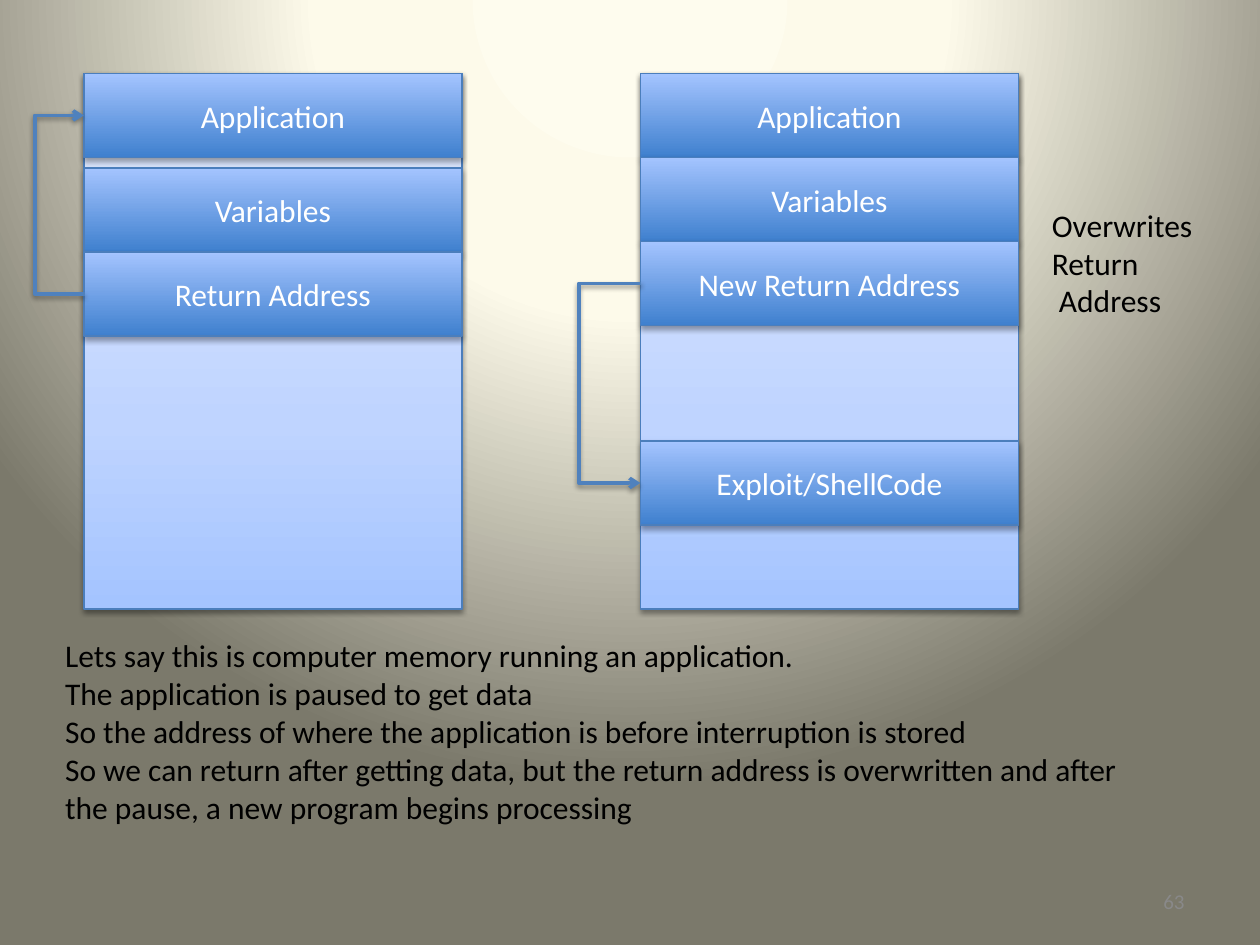
from dataclasses import dataclass

from pptx import Presentation
from pptx.dml.color import RGBColor
from pptx.enum import shapes, text
from pptx.oxml import parse_xml
from pptx.oxml.ns import nsdecls
from pptx.util import Pt


@dataclass(frozen=True)
class Theme:
    font: str = "Calibri"
    text_size: int = 18
    number_size: int = 12
    dark: str = "000000"
    light: str = "FFFFFF"
    muted: str = "898989"
    border: str = "4B7EBC"
    arrow: str = "4F81BD"
    memory: tuple = ((0, "A4C4FF"), (35, "BFD4FF"), (100, "E6EEFF"))
    block: tuple = ((0, "3F80CE"), (100, "A4C4FF"))
    background: tuple = ((0, "FEFCEE"), (40, "FDFAEA"), (100, "7B796B"))


THEME = Theme()
UPWARD = '<a:lin ang="16200000" scaled="0"/>'
CIRCLE = ('<a:path path="circle">'
          '<a:fillToRect l="50000" t="-80000" r="50000" b="180000"/></a:path>')
STACK_TOP = 42
STACK_WIDTH = 216
STACK_HEIGHT = 306
BLOCK_HEIGHT = 48
ARROW_SPAN = 0.5


def color(value):
    return RGBColor.from_string(value)


def set_gradient(owner, fill, stops, direction):
    fill.gradient()
    old = owner.element.xpath(".//a:gradFill")[0]
    marks = "".join(
        f'<a:gs pos="{position * 1000}"><a:srgbClr val="{value}"/></a:gs>'
        for position, value in stops)
    old.getparent().replace(old, parse_xml(
        f'<a:gradFill {nsdecls("a")} rotWithShape="1">'
        f'<a:gsLst>{marks}</a:gsLst>{direction}</a:gradFill>'))


def set_shadow(shape, opacity, distance):
    properties = shape.element.spPr
    for old in properties.xpath("./a:effectLst"):
        properties.remove(old)
    properties.append(parse_xml(
        f'<a:effectLst {nsdecls("a")}>'
        f'<a:outerShdw blurRad="{Pt(3.1)}" dist="{Pt(distance)}" dir="5400000" rotWithShape="0">'
        f'<a:srgbClr val="{THEME.dark}"><a:alpha val="{opacity * 1000}"/></a:srgbClr>'
        '</a:outerShdw></a:effectLst>'))


def format_text(frame, value, size=THEME.text_size, align=text.PP_ALIGN.LEFT):
    for paragraph in frame.paragraphs:
        paragraph.alignment = align
        for run in paragraph.runs:
            run.font.name = THEME.font
            run.font.size = Pt(size)
            run.font.color.rgb = color(value)


def add_box(slide, left, top, height, stops):
    shape = slide.shapes.add_shape(
        shapes.MSO_SHAPE.RECTANGLE, Pt(left), Pt(top), Pt(STACK_WIDTH), Pt(height))
    set_gradient(shape, shape.fill, stops, UPWARD)
    shape.line.color.rgb = color(THEME.border)
    shape.line.width = Pt(0.75)
    return shape


def add_stack(slide, left, blocks):
    memory = add_box(slide, left, STACK_TOP, STACK_HEIGHT, THEME.memory)
    set_shadow(memory, 38, 1.6)
    for top, label in blocks:
        block = add_box(slide, left, top, BLOCK_HEIGHT, THEME.block)
        set_shadow(block, 35, 1.8)
        block.text_frame.text = label
        block.text_frame.vertical_anchor = text.MSO_ANCHOR.MIDDLE
        format_text(block.text_frame, THEME.light, align=text.PP_ALIGN.CENTER)


def add_jump(slide, edge, start_top, end_top, reach):
    middle = BLOCK_HEIGHT / 2
    connector = slide.shapes.add_connector(
        shapes.MSO_CONNECTOR.ELBOW, Pt(edge + ARROW_SPAN), Pt(start_top + middle),
        Pt(edge), Pt(end_top + middle))
    bend = round((reach + ARROW_SPAN) / ARROW_SPAN * 100000)
    geometry = connector.element.spPr.xpath("./a:prstGeom")[0]
    for old in geometry.xpath("./a:avLst"):
        geometry.remove(old)
    geometry.append(parse_xml(
        f'<a:avLst {nsdecls("a")}><a:gd name="adj1" fmla="val {bend}"/></a:avLst>'))
    connector.line.color.rgb = color(THEME.arrow)
    connector.line.width = Pt(2)
    connector.line._get_or_add_ln().append(
        parse_xml(f'<a:tailEnd {nsdecls("a")} type="arrow"/>'))
    set_shadow(connector, 38, 1.6)


def add_label(slide, left, top, width, height, value):
    label = slide.shapes.add_textbox(Pt(left), Pt(top), Pt(width), Pt(height))
    label.text_frame.text = value
    return label.text_frame


def fill_body(slide, lines):
    body = slide.placeholders[1]
    body.left, body.top, body.width, body.height = Pt(30), Pt(360), Pt(642), Pt(117)
    frame = body.text_frame
    frame.text = "\n".join(lines)
    frame.auto_size = text.MSO_AUTO_SIZE.SHAPE_TO_FIT_TEXT
    for paragraph in frame.paragraphs:
        properties = paragraph._p.get_or_add_pPr()
        properties.set("marL", "0")
        properties.set("indent", "0")
        properties.append(parse_xml(f'<a:buNone {nsdecls("a")}/>'))
        paragraph.space_before = Pt(0)
    format_text(frame, THEME.dark)


def main():
    presentation = Presentation()
    presentation.slide_width, presentation.slide_height = Pt(720), Pt(540)
    slide = presentation.slides.add_slide(presentation.slide_layouts[1])
    title = slide.shapes.title.element
    title.getparent().remove(title)
    set_gradient(slide, slide.background.fill, THEME.background, CIRCLE)

    fill_body(slide, [
        "Lets say this is computer memory running an application.",
        "The application is paused to get data",
        "So the address of where the application is before interruption is stored",
        "So we can return after getting data, but the return address is overwritten "
        "and after the pause, a new program begins processing",
    ])
    add_stack(slide, 48, [
        (42, "Application"), (96, "Variables"), (144, "Return Address")])
    add_stack(slide, 366, [
        (42, "Application"), (90, "Variables"), (138, "New Return Address"),
        (252, "Exploit/ShellCode")])
    add_jump(slide, 48, 144, 42, 27.5)
    add_jump(slide, 366, 138, 252, 34.5)

    note = add_label(slide, 594, 114, 101.5, 73, "Overwrites\nReturn\n Address")
    note.word_wrap = False
    note.auto_size = text.MSO_AUTO_SIZE.SHAPE_TO_FIT_TEXT
    format_text(note, THEME.dark)

    number = add_label(slide, 516, 500.5, 168, 28.75, "63")
    number.word_wrap = True
    number.vertical_anchor = text.MSO_ANCHOR.MIDDLE
    format_text(number, THEME.muted, THEME.number_size, text.PP_ALIGN.RIGHT)

    presentation.save("out.pptx")


if __name__ == "__main__":
    main()
